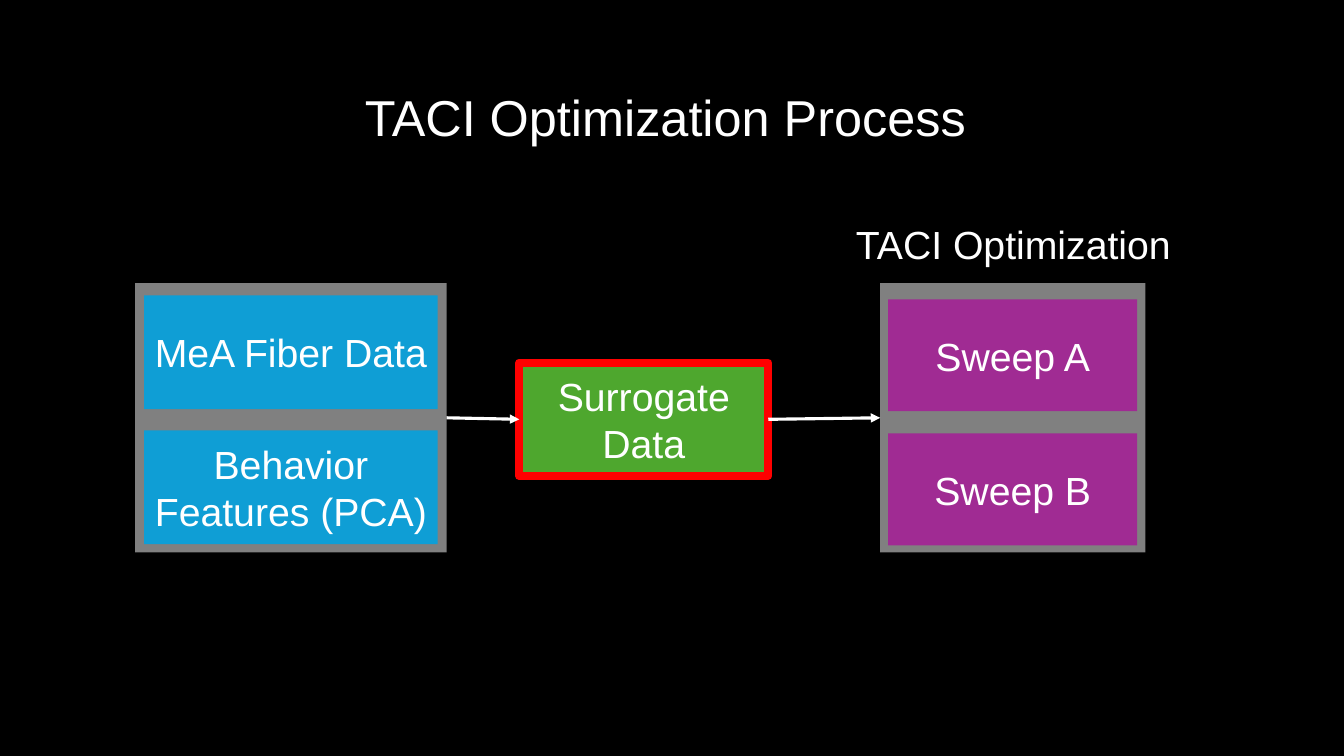
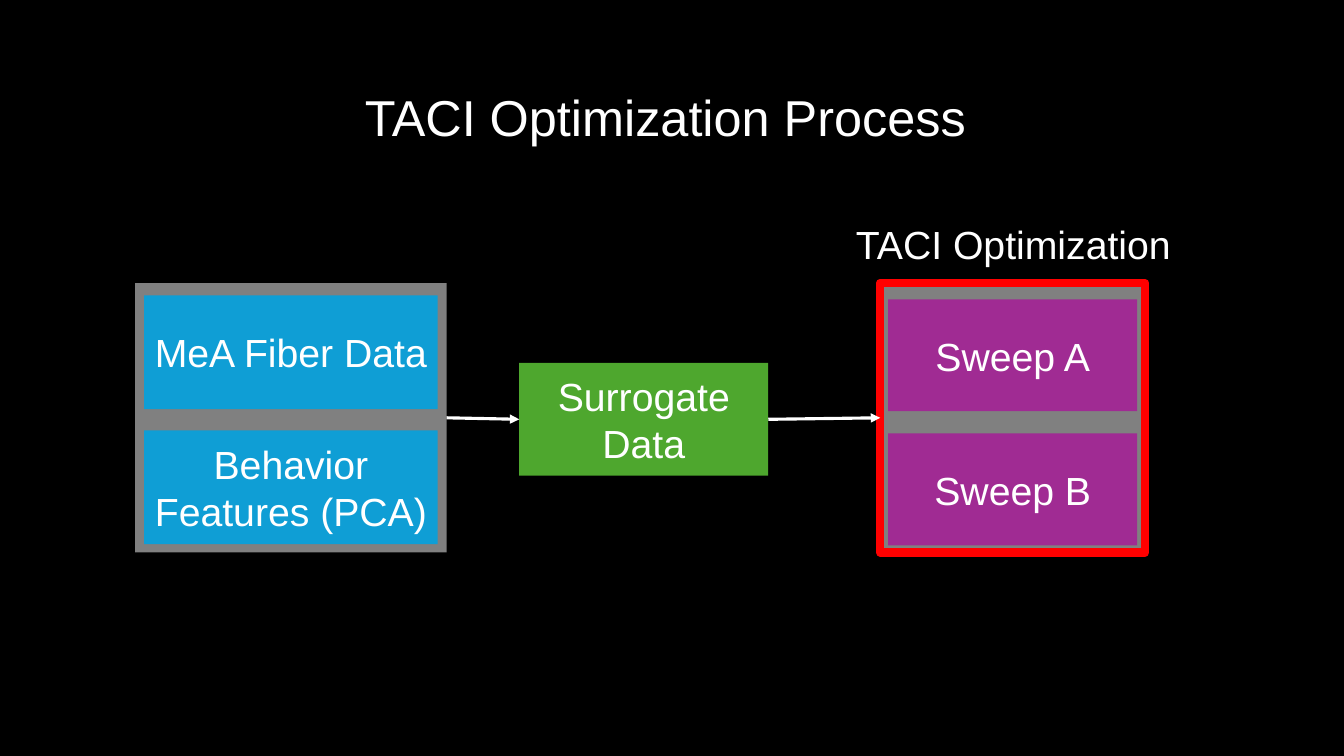
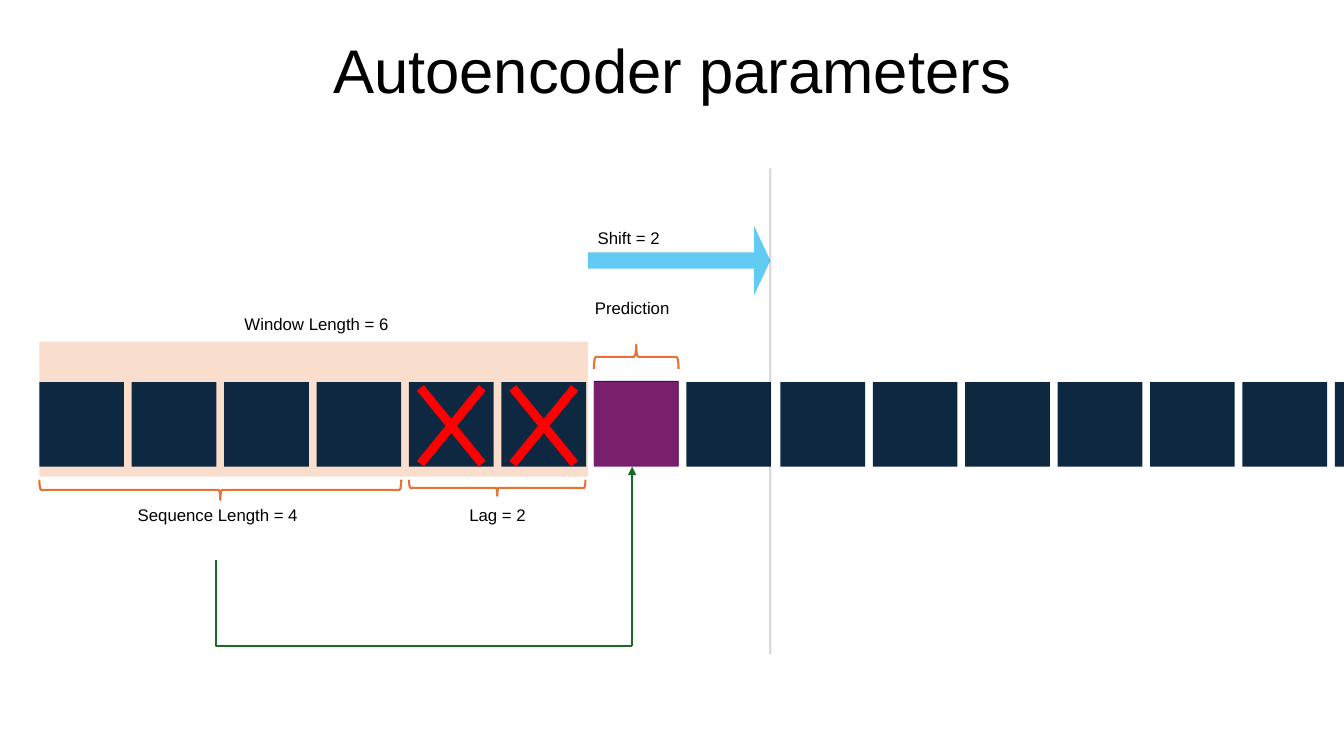
import collections
import dataclasses

import lxml.etree
import pptx
import pptx.dml.color
import pptx.enum.shapes
import pptx.enum.text
import pptx.oxml.ns
import pptx.util

Inches = pptx.util.Inches
Pt = pptx.util.Pt
qn = pptx.oxml.ns.qn
Shape = pptx.enum.shapes.MSO_SHAPE
Connector = pptx.enum.shapes.MSO_CONNECTOR
Anchor = pptx.enum.text.MSO_ANCHOR
Align = pptx.enum.text.PP_ALIGN

Box = collections.namedtuple("Box", "left top width height")


@dataclasses.dataclass(frozen=True)
class Theme:
    """Colours, font and type sizes shared by the slides."""

    font: str = "Arial"
    black: str = "000000"
    white: str = "FFFFFF"
    data: str = "0F9ED5"
    surrogate: str = "4EA72E"
    sweep: str = "A02B93"
    alert: str = "FF0000"
    frame: str = "0E2841"
    predicted: str = "78206E"
    window: str = "E97132"
    shift: str = "61CBF4"
    link: str = "196B24"
    process_title: int = 36
    parameter_title: int = 44
    block: int = 28
    label: int = 12
    arrow_line: float = 2.25
    thin_line: float = 1.5
    alert_line: float = 6


THEME = Theme()


def rgb(value):
    """Turn a hex string into a colour."""
    return pptx.dml.color.RGBColor.from_string(value)


def set_alpha(fill_parent, percent):
    """Make the solid fill directly under an element partly transparent."""
    colour = fill_parent.find(qn("a:solidFill")).find(qn("a:srgbClr"))
    alpha = lxml.etree.SubElement(colour, qn("a:alpha"))
    alpha.set("val", str(percent * 1000))


def add_page(deck, background):
    """Add a blank slide with a plain background."""
    page = deck.slides.add_slide(deck.slide_layouts[6])
    page.background.fill.solid()
    page.background.fill.fore_color.rgb = rgb(background)
    return page


def write(shape, text, size, colour, align=Align.CENTER, spacing=None):
    """Put one formatted paragraph into a shape."""
    frame = shape.text_frame
    frame.word_wrap = True
    frame.text = text
    para = frame.paragraphs[0]
    para.alignment = align
    if spacing:
        para.line_spacing = spacing
    for span in para.runs:
        span.font.name = THEME.font
        span.font.size = Pt(size)
        span.font.color.rgb = rgb(colour)


def add_text(page, box, text, size, colour, anchor=Anchor.TOP, **style):
    """Add a text box."""
    shape = page.shapes.add_textbox(*map(Inches, box))
    shape.text_frame.vertical_anchor = anchor
    write(shape, text, size, colour, **style)


def add_heading(page, box, text, size, colour):
    """Add a centred heading with tight lines."""
    add_text(page, box, text, size, colour, Anchor.MIDDLE, spacing=0.9)


def add_shape(page, box, fill=None, kind=Shape.RECTANGLE, alpha=None,
              line=None, line_width=0, adjust=()):
    """Add a preset shape without a shadow."""
    shape = page.shapes.add_shape(kind, *map(Inches, box))
    shape.shadow.inherit = False
    for index, value in enumerate(adjust):
        shape.adjustments[index] = value
    if fill:
        shape.fill.solid()
        shape.fill.fore_color.rgb = rgb(fill)
    else:
        shape.fill.background()
    if alpha:
        set_alpha(shape._element.spPr, alpha)
    if line:
        shape.line.color.rgb = rgb(line)
        shape.line.width = Pt(line_width)
    else:
        shape.line.fill.background()
    return shape


def add_line(page, start, end, colour, width, arrow=False, alpha=None,
             kind=Connector.STRAIGHT):
    """Add a connector without a shadow, with an arrowhead if wanted."""
    line = page.shapes.add_connector(kind, *map(Inches, (*start, *end)))
    line.line.color.rgb = rgb(colour)
    line.line.width = Pt(width)
    properties = line._element.spPr
    outline = properties.find(qn("a:ln"))
    if alpha:
        set_alpha(outline, alpha)
    if arrow:
        lxml.etree.SubElement(outline, qn("a:tailEnd")).set("type", "triangle")
    lxml.etree.SubElement(properties, qn("a:effectLst"))
    return line


def add_elbow(page, start, end, colour, width):
    """Add a connector that runs down and then right."""
    run, drop = end[0] - start[0], end[1] - start[1]
    middle_x, middle_y = start[0] + run / 2, start[1] + drop / 2
    line = add_line(page, (middle_x + drop / 2, middle_y - run / 2),
                    (middle_x - drop / 2, middle_y + run / 2),
                    colour, width, kind=Connector.ELBOW)
    properties = line._element.spPr
    properties.find(qn("a:xfrm")).set("rot", str(270 * 60000))
    properties.find(qn("a:prstGeom")).set("prst", "bentConnector2")


def add_brace(page, box, rotation):
    """Add a horizontal brace that covers the given box."""
    left, top, width, depth = box
    turned = Box(left + (width - depth) / 2, top + (depth - width) / 2,
                 depth, width)
    brace = add_shape(page, turned, kind=Shape.RIGHT_BRACE,
                      line=THEME.window, line_width=THEME.thin_line)
    brace.rotation = rotation


def add_block(page, box, text, fill, **outline):
    """Add a labelled step of the process."""
    block = add_shape(page, box, fill, **outline)
    block.text_frame.margin_left = block.text_frame.margin_right = Inches(0.05)
    write(block, text, THEME.block, THEME.white)
    return block


def add_panel(page, box, labels, fill, inset, first, step, height, **outline):
    """Add a translucent panel holding a column of blocks."""
    panel = add_shape(page, box, THEME.white, alpha=50, **outline)
    for index, label in enumerate(labels):
        place = Box(box.left + inset, box.top + first + index * step,
                    box.width - 2 * inset, height)
        add_block(page, place, label, fill)
    return panel


def add_process(page, box, highlight):
    """Draw the process from data to optimization, with one step outlined."""
    alert = {"line": THEME.alert, "line_width": THEME.alert_line}
    outlines = {highlight: alert}
    data = add_panel(
        page, Box(box.left, box.top, 3.09, box.height),
        ("MeA Fiber Data", "Behavior Features (PCA)"), THEME.data,
        inset=0.09, first=0.12, step=1.34, height=1.13)
    surrogate = add_block(
        page, Box(box.left + 3.81, box.top + 0.79, 2.47, 1.12),
        "Surrogate Data", THEME.surrogate, **outlines.get("surrogate", {}))
    sweeps = add_panel(
        page, Box(box.left + box.width - 2.63, box.top, 2.63, box.height),
        ("Sweep A", "Sweep B"), THEME.sweep,
        inset=0.08, first=0.16, step=1.33, height=1.11,
        **outlines.get("sweeps", {}))
    for source, target in ((data, surrogate), (surrogate, sweeps)):
        arrow = add_line(page, (0, 0), (1, 1), THEME.white,
                         THEME.arrow_line, arrow=True)
        arrow.begin_connect(source, 3)
        arrow.end_connect(target, 1)
    add_heading(page, Box(box.left + 6.77, box.top - 0.8, 3.88, 0.88),
                "TACI Optimization", THEME.block, THEME.white)


def process_page(deck, highlight):
    """Build a process slide."""
    page = add_page(deck, THEME.black)
    add_heading(page, Box(0.92, 0.75, 11.5, 0.88),
                "TACI Optimization Process ", THEME.process_title, THEME.white)
    add_process(page, Box(1.34, 2.81, 10.02, 2.67), highlight)


def add_timeline(page, box):
    """Draw the row of frames, with the window, lag and prediction marked."""
    side, pitch = box.height, 5.5 / 6
    second_run = box.left + 7.35
    lefts = [box.left + index * pitch for index in range(8)]
    lefts += [second_run + index * pitch for index in range(7)]
    lag_lefts, predicted_left = lefts[4:6], lefts[6]

    add_shape(page, Box(box.left, box.top - 0.4, 5.44, 1.34),
              THEME.window, alpha=24)
    add_shape(page, Box(predicted_left, box.top - 0.01, side, side),
              THEME.frame)
    for left in lefts:
        fill = THEME.predicted if left == predicted_left else THEME.frame
        add_shape(page, Box(left, box.top, side, side), fill)
    for left in lag_lefts:
        add_shape(page, Box(left - 0.17, box.top - 0.29, 1.18, 1.45),
                  THEME.alert, Shape.MATH_MULTIPLY, adjust=(0.075,))

    brace_top = box.top + 0.97
    add_brace(page, Box(box.left, brace_top, 3.59, 0.2), 90)
    add_brace(page, Box(lag_lefts[0], brace_top, 1.75, 0.16), 90)
    add_brace(page, Box(predicted_left, box.top - 0.37, side, 0.24), 270)

    labels = (
        ("Window Length = 6", 0.66, -0.73, 4.18),
        ("Sequence Length = 4", -0.1, 1.17, 3.74),
        ("Lag = 2", 3.32, 1.17, 2.45),
        ("Prediction", 3.79, -0.89, 4.18),
    )
    for text, across, down, width in labels:
        add_text(page, Box(box.left + across, box.top + down, width, 0.57),
                 text, THEME.label, THEME.black)


def add_shift(page, box):
    """Draw the shift arrow, its label and the line where it ends."""
    add_shape(page, box, THEME.shift, Shape.RIGHT_ARROW, adjust=(0.233, 0.233))
    right = box.left + box.width
    add_line(page, (right, box.top - 0.57), (right, box.top + 4.25),
             THEME.black, THEME.thin_line, alpha=14)
    add_text(page, Box(box.left, box.top - 0.03, 2.31, 0.3), "Shift = 2",
             THEME.label, THEME.black, align=Align.LEFT)


def add_prediction_link(page, box):
    """Lead from the sequence label round to the predicted frame."""
    right, bottom = box.left + box.width, box.top + box.height
    add_elbow(page, (box.left, box.top), (right, bottom),
              THEME.link, THEME.thin_line)
    add_line(page, (right, bottom), (right, box.top - 0.93),
             THEME.link, THEME.thin_line, arrow=True)


def parameter_page(deck):
    """Build the slide on autoencoder parameters."""
    page = add_page(deck, THEME.white)
    add_heading(page, Box(0.92, 0, 11.5, 1.45), "Autoencoder parameters",
                THEME.parameter_title, THEME.black)
    add_timeline(page, Box(0.39, 3.79, 13.69, 0.84))
    add_prediction_link(page, Box(2.14, 5.56, 4.13, 0.85))
    add_shift(page, Box(5.83, 2.24, 1.81, 0.69))


def main():
    """Build and save the deck."""
    deck = pptx.Presentation()
    deck.slide_width, deck.slide_height = Inches(13.33), Inches(7.5)
    for highlight in ("surrogate", "sweeps"):
        process_page(deck, highlight)
    parameter_page(deck)
    deck.save("out.pptx")


if __name__ == "__main__":
    main()
